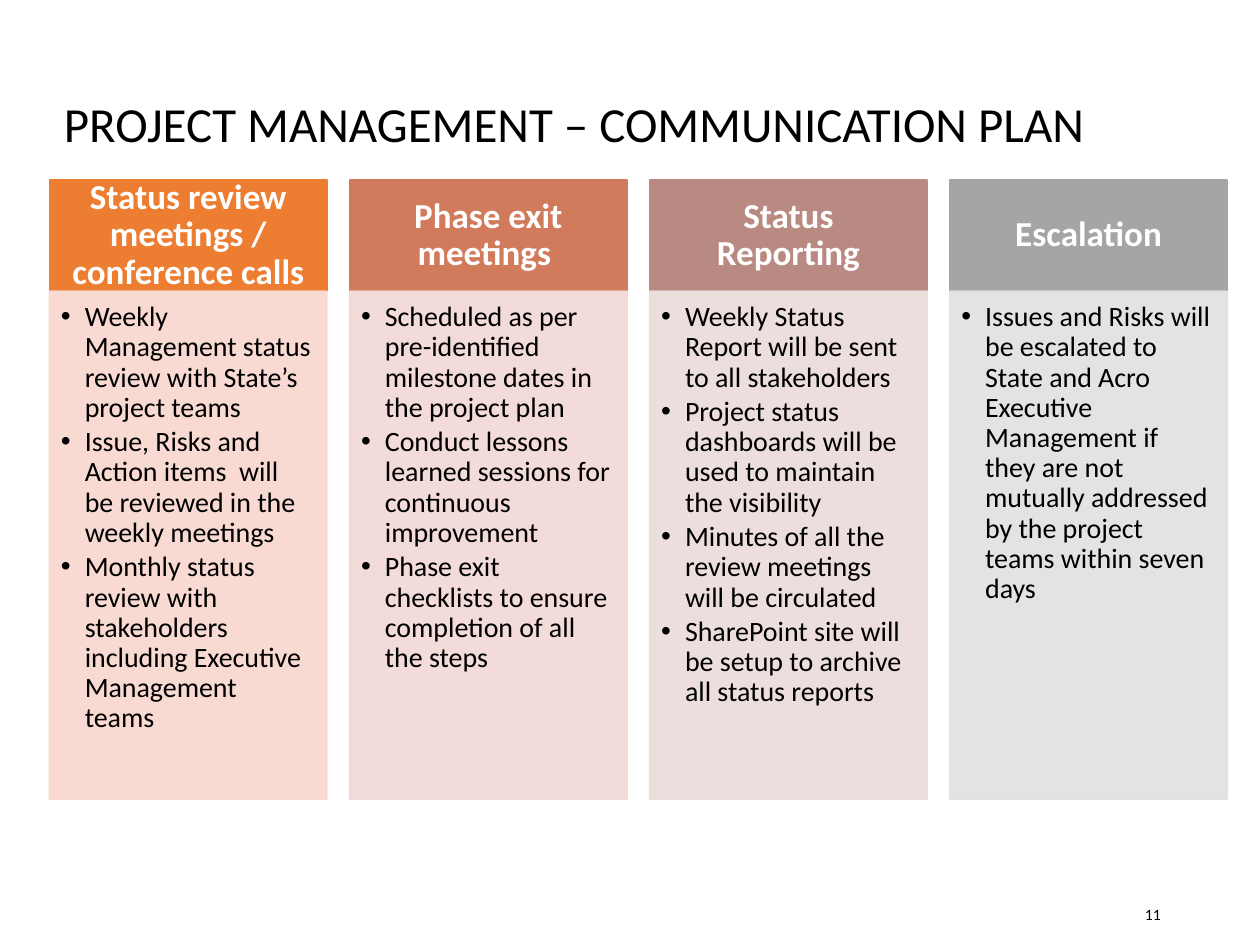
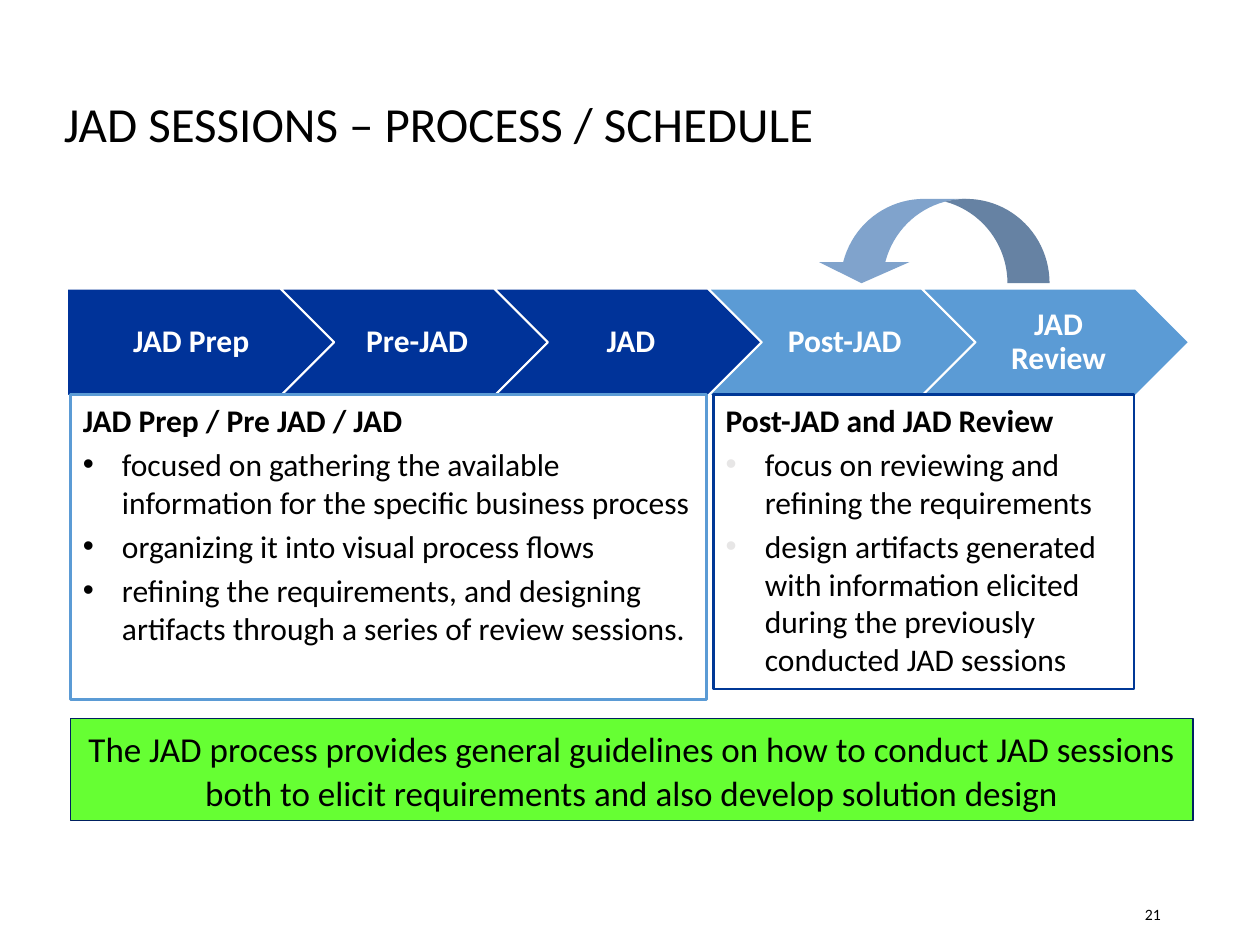
from lxml.etree import SubElement
from pptx import Presentation
from pptx.dml.color import RGBColor
from pptx.enum.shapes import MSO_SHAPE
from pptx.enum.text import MSO_ANCHOR, PP_ALIGN
from pptx.oxml.ns import qn
from pptx.util import Cm, Pt

FONT = "Calibri"
BLACK, WHITE = "000000", "FFFFFF"
NAVY, SKY, EDGE = "003399", "5B9BD5", "003896"
LIME, INK, PALE, DUSK = "66FF33", "002060", "E7E6E6", "80A3CC"

PLAN = [
    ("Status review meetings / conference calls", "ED7D31", "F8D7CE", [
        "Weekly Management status review with State’s project teams",
        "Issue, Risks and Action items  will be reviewed in the weekly meetings",
        "Monthly status review with stakeholders including Executive Management teams"]),
    ("Phase exit meetings ", "D17B5C", "F1D8D4", [
        "Scheduled as per pre-identified milestone dates in the project plan",
        "Conduct lessons learned sessions for continuous improvement",
        "Phase exit checklists to ensure completion of all the steps"]),
    ("Status Reporting", "B98A82", "E9DBDA", [
        "Weekly Status Report will be sent to all stakeholders",
        "Project status dashboards will be used to maintain the visibility",
        "Minutes of all the review meetings will be circulated",
        "SharePoint site will be setup to archive all status reports"]),
    ("Escalation", "A5A5A5", "E1E1E1", [
        "Issues and Risks will be escalated to State and Acro Executive Management "
        "if they are not mutually addressed by the project teams within seven days"]),
]

STEPS = [("JAD Prep", NAVY), ("Pre-JAD", NAVY), ("JAD", NAVY),
         ("Post-JAD", SKY), ("JAD Review", SKY)]

NOTES = [
    (1.42, 12.83, 6.15, SKY, BLACK, "JAD Prep / Pre JAD / JAD", [
        "focused on gathering the available information for the specific business process",
        "organizing it into visual process flows",
        "refining the requirements, and designing artifacts through a series of review sessions."]),
    (14.38, 8.48, 5.94, EDGE, PALE, "Post-JAD and JAD Review", [
        "focus on reviewing and refining the requirements",
        "design artifacts generated with information elicited during the previously "
        "conducted JAD sessions"]),
]


def tint(code):
    return RGBColor.from_string(code)


class Deck:
    """Holds the shared style and the slide being built."""

    def __init__(self):
        self.file = Presentation()
        self.file.slide_width, self.file.slide_height = Cm(25.4), Cm(19.05)
        self.slide = None

    def page(self, title, number):
        self.slide = self.file.slides.add_slide(self.file.slide_layouts[5])
        head = self.slide.shapes.title
        head.left, head.top, head.width, head.height = Cm(1.04), Cm(1.73), Cm(22.6), Cm(1.65)
        self.frame(head)
        self.fill_text(head, [title], 28, space=0.9)
        foot = self.slide.shapes.add_textbox(Cm(17.93), Cm(17.93), Cm(5.72), Cm(1.02))
        self.frame(foot)
        self.fill_text(foot, [number], 9, align=PP_ALIGN.RIGHT)

    def shape(self, kind, left, top, width, height, fill=None, line=None, weight=1, alpha=None):
        item = self.slide.shapes.add_shape(kind, Cm(left), Cm(top), Cm(width), Cm(height))
        item.shadow.inherit = False
        if fill:
            item.fill.solid()
            item.fill.fore_color.rgb = tint(fill)
        else:
            item.fill.background()
        if line:
            item.line.color.rgb = tint(line)
            item.line.width = Pt(weight)
        else:
            item.line.fill.background()
        if alpha:
            for color in item._element.spPr.iter(qn("a:srgbClr")):
                SubElement(color, qn("a:alpha")).set("val", str(alpha * 1000))
        return item

    def frame(self, item, anchor=MSO_ANCHOR.MIDDLE, inset=(0.25, 0.13, 0.25, 0.13)):
        body = item.text_frame
        body.word_wrap = True
        body.vertical_anchor = anchor
        body.margin_left, body.margin_top, body.margin_right, body.margin_bottom = map(Cm, inset)

    def fill_text(self, item, lines, size, color=BLACK, bold=False, align=PP_ALIGN.LEFT,
                  space=1.0, before=0, after=0, indent=0, dot=BLACK):
        body = item.text_frame
        for line in lines:
            para = body.add_paragraph() if body.text else body.paragraphs[0]
            para.alignment, para.line_spacing = align, space
            para.space_before, para.space_after = Pt(before), Pt(after)
            if indent:
                self.bullet(para, indent, dot)
            run = para.add_run()
            run.text = line
            run.font.name, run.font.size, run.font.bold = FONT, Pt(size), bold
            run.font.color.rgb = tint(color)

    def bullet(self, para, indent, dot):
        props = para._p.get_or_add_pPr()
        props.set("marL", str(Cm(indent)))
        props.set("indent", str(-Cm(indent)))
        SubElement(SubElement(props, qn("a:buClr")), qn("a:srgbClr")).set("val", dot)
        SubElement(props, qn("a:buFont")).set("typeface", "Arial")
        SubElement(props, qn("a:buChar")).set("char", "•")

    def label(self, item, text, size, inset):
        self.frame(item, inset=inset)
        self.fill_text(item, [text], size, WHITE, True, PP_ALIGN.CENTER, 0.9)

    def column(self, left, name, dark, light, points):
        head = self.shape(MSO_SHAPE.RECTANGLE, left, 3.63, 5.59, 2.24, dark, dark)
        self.label(head, name, 20, (0.41, 0.23, 0.41, 0.23))
        body = self.shape(MSO_SHAPE.RECTANGLE, left, 5.87, 5.59, 10.24, light, light, alpha=90)
        self.frame(body, MSO_ANCHOR.TOP, (0.23, 0.23, 0.3, 0.36))
        self.fill_text(body, points, 16, space=0.9, after=2.4, indent=0.48)

    def note(self, left, width, height, edge, dot, name, points):
        box = self.shape(MSO_SHAPE.RECTANGLE, left, 7.95, width, height, line=edge, weight=1.5)
        self.frame(box, MSO_ANCHOR.TOP)
        self.fill_text(box, [name], 18, bold=True, before=3.6)
        self.fill_text(box, points, 18, before=3.6, indent=0.79, dot=dot)

    def step(self, index, name, fill):
        kind = MSO_SHAPE.CHEVRON if index else MSO_SHAPE.PENTAGON
        item = self.shape(kind, 1.35 + 4.31 * index, 5.82, 5.38, 2.16, fill, WHITE)
        self.label(item, name, 18, (0.2 if index else 0.25, 0.13, 0.08, 0.13))

    def loop(self):
        item = self.shape(MSO_SHAPE.CURVED_DOWN_ARROW, 16.46, 4.01, 4.7, 1.7, DUSK)
        for index, value in enumerate((0.5, 1.07, 0.25)):
            item.adjustments[index] = value
        item._element.spPr.find(qn("a:xfrm")).set("flipH", "1")

    def banner(self, text):
        item = self.shape(MSO_SHAPE.RECTANGLE, 1.42, 14.48, 22.63, 2.06, LIME, INK, 0.75)
        self.frame(item)
        self.fill_text(item, [text], 20, align=PP_ALIGN.CENTER, space=1.06)


def main():
    deck = Deck()
    deck.page("PROJECT MANAGEMENT – COMMUNICATION PLAN", "11")
    for index, column in enumerate(PLAN):
        deck.column(1 + 6.05 * index, *column)

    deck.page("JAD SESSIONS – PROCESS / SCHEDULE", "21")
    for index, step in enumerate(STEPS):
        deck.step(index, *step)
    deck.loop()
    for note in NOTES:
        deck.note(*note)
    deck.banner("The JAD process provides general guidelines on how to conduct JAD sessions "
                "both to elicit requirements and also develop solution design")
    deck.file.save("out.pptx")


if __name__ == "__main__":
    main()
